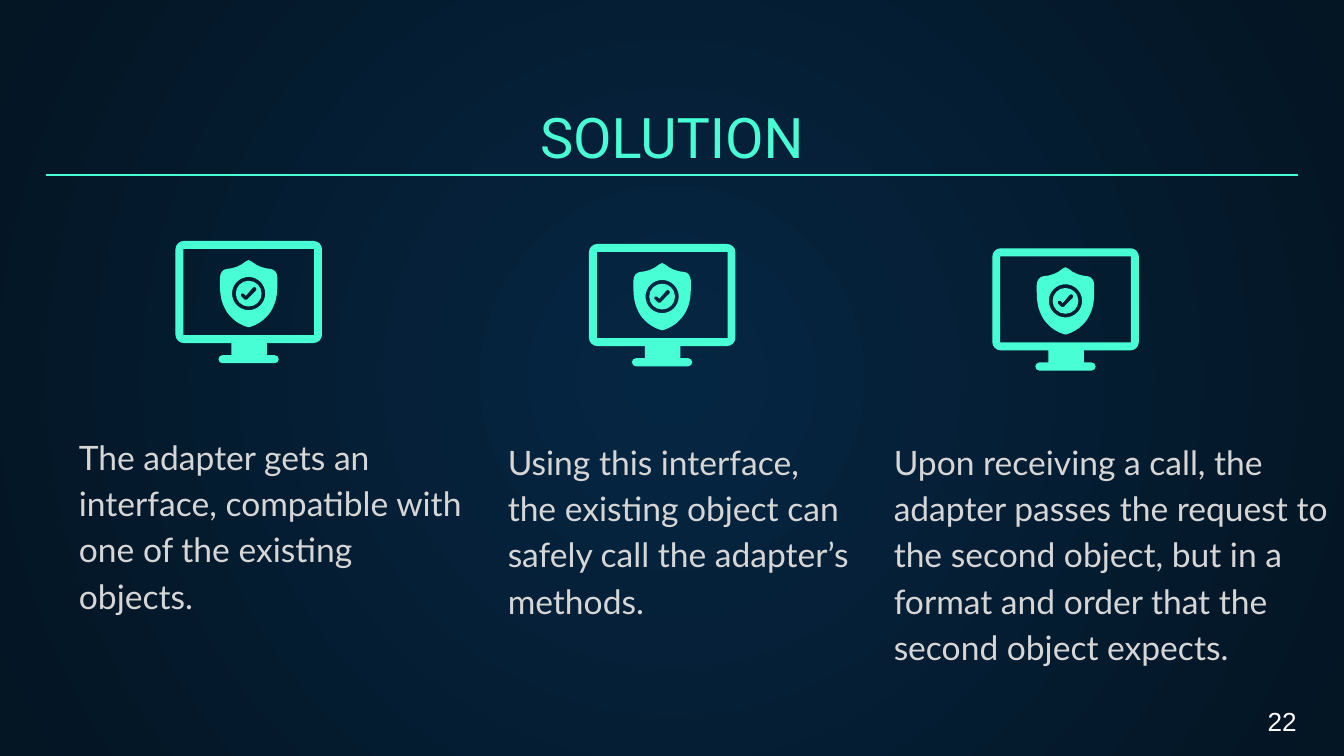
from dataclasses import dataclass
from math import cos, radians, sin

from lxml.etree import Element, SubElement as Sub
from pptx import Presentation
from pptx.dml.color import RGBColor as Rgb
from pptx.enum.shapes import MSO_CONNECTOR as Link
from pptx.enum.text import MSO_ANCHOR as Anchor, MSO_AUTO_SIZE as Fit, PP_ALIGN as Align
from pptx.oxml.ns import qn
from pptx.util import Pt


@dataclass(frozen=True)
class Theme:
    """Colours, fonts and type sizes of the slide."""
    core: Rgb = Rgb.from_string("052643")
    edge: Rgb = Rgb.from_string("041523")
    mint: Rgb = Rgb.from_string("48FFD5")
    pale: Rgb = Rgb.from_string("D6D6D6")
    white: Rgb = Rgb.from_string("FFFFFF")
    head: str = "Roboto"
    body: str = "Lato"
    plain: str = "Arial"
    big: float = 30
    mid: float = 18
    small: float = 14


THEME = Theme()
COLUMNS = [
    ("The adapter gets an interface, compatible with one of the existing objects.",
     (35.1, 223.5, 221.76, 39.6), (94, 129.1)),
    ("Using this interface, the existing object can safely call the adapter’s methods.",
     (264.8, 226.08, 198.72, 28.08), (315.5, 130.7)),
    ("Upon receiving a call, the adapter passes the request to the second object, "
     "but in a format and order that the second object expects.",
     (471.6, 226.08, 248.4, 28.08), (531.6, 133)),
]


def apply(item, **values):
    """Set each named value on the item."""
    for name, value in values.items():
        setattr(item, name, value)


def place(shape, box):
    """Move the shape to a box given in points."""
    apply(shape, **dict(zip(("left", "top", "width", "height"), map(Pt, box))))


def write(shape, text, face, size, tint, anchor=Anchor.TOP, **para):
    """Fill the shape with one formatted paragraph."""
    frame = shape.text_frame
    frame.text = text
    edges = dict.fromkeys(("margin_left", "margin_top", "margin_right", "margin_bottom"), Pt(7.2))
    apply(frame, word_wrap=True, auto_size=Fit.NONE, vertical_anchor=anchor, **edges)
    line = frame.paragraphs[0]
    apply(line, **para)
    font = line.runs[0].font
    apply(font, name=face, size=Pt(size), bold=False)
    font.color.rgb = tint
    return line


def lines(*points):
    """Return one straight step for each point."""
    return [(point,) for point in points]


def curves(points):
    """Return a start step and curve steps of three points each."""
    return [(points[0],)] + [tuple(points[i:i + 3]) for i in range(1, len(points), 3)]


def arc(x, y, r, start, turns=1):
    """Return curve steps for quarter turns from an angle in degrees."""
    points = []
    for i in range(turns):
        a, b = radians(start + 90 * i), radians(start + 90 * i + 90)
        first, last = (cos(a), sin(a)), (cos(b), sin(b))
        pull = [(p + 0.55 * q, s + 0.55 * t) for (p, s), (q, t) in ((first, last), (last, first))]
        points += [first, *pull] if i == 0 else pull
        points.append(last)
    return curves([(x + r * p, y + r * q) for p, q in points])


def screen():
    """Return the monitor outline and its opening."""
    outer = (arc(4.5, 4.5, 4.5, 180) + arc(74, 4.5, 4.5, 270) + arc(74, 50.2, 4.5, 0)
             + lines((49, 54.7), (49, 61.2)) + arc(53.2, 63.35, 2.15, -90, 2)
             + arc(25.2, 63.35, 2.15, 90, 2) + lines((30, 61.2), (30, 54.7))
             + arc(4.5, 50.2, 4.5, 90))
    return [outer, lines((4.2, 4.3), (74.3, 4.3), (74.3, 50.4), (4.2, 50.4))]


def badge():
    """Return the disc and its tick around the centre."""
    tick = [(3, -3.6), (3.4, -3.6), (3.7, -3.4), (3.9, -3.2), (4.3, -2.7), (4.3, -2),
            (3.9, -1.6), (2.3, 0), (0.7, 1.6), (-0.8, 3.2), (-1.2, 3.6), (-1.9, 3.6),
            (-2.3, 3.2), (-2.9, 2.6), (-3.5, 2), (-4.1, 1.4), (-4.5, 1), (-4.5, 0.4),
            (-4.1, 0), (-3.7, -0.4), (-3, -0.4), (-2.6, 0), (-2.3, 0.4), (-1.9, 0.8),
            (-1.5, 1.1), (-0.2, -0.3), (1, -1.8), (2.2, -3.2), (2.4, -3.5), (2.7, -3.6),
            (3, -3.6)]
    return [arc(0, 0, 6.9, 0, 4), curves(tick)]


def shield():
    """Return the shield and its round opening around the centre."""
    half = [(0, -18), (0.6, -18), (1.2, -17.6), (1.6, -17.2), (4.4, -14.8), (7.6, -13.5),
            (11.8, -13.2), (13.7, -12.9), (15.3, -11.4), (15.4, -8.4), (15.4, -4.3),
            (15.6, 1.4), (13.7, 5.9), (12.5, 8.9), (11, 11.2), (9, 13), (7, 15.1),
            (4.2, 16.8), (0.8, 17.9), (0.5, 18), (0.3, 18), (0, 18)]
    return [curves(half + [(-x, y) for x, y in half[-2::-1]]), arc(0, 0, 8.9, 0, 4)]


def bend(shape, loops):
    """Turn each run of three points into a curve."""
    route = shape._element.find(".//" + qn("a:path"))
    nodes = iter(route.findall(qn("a:lnTo")))
    for loop in loops:
        for step in loop[1:]:
            group = [next(nodes) for _ in step]
            if len(group) == 3:
                arch = Element(qn("a:cubicBezTo"))
                group[0].addprevious(arch)
                for node in group:
                    arch.append(node[0])
                    route.remove(node)


def draw(slide, loops, x, y):
    """Draw closed loops as one filled outline."""
    pen = None
    for loop in loops:
        first, *rest = [(Pt(x + a), Pt(y + b)) for step in loop for a, b in step]
        if pen is None:
            pen = slide.shapes.build_freeform(*first)
        else:
            pen.move_to(*first)
        pen.add_line_segments(rest)
    shape = pen.convert_to_shape()
    bend(shape, loops)
    shape.shadow.inherit = False
    shape.fill.solid()
    shape.fill.fore_color.rgb = THEME.mint
    shape.line.fill.background()
    return shape


def icon(slide, spot):
    """Draw a guarded monitor with its corner at the spot."""
    x, y = spot
    mid = (x + 39.2, y + 28.2)
    parts = [draw(slide, screen(), x, y), draw(slide, badge(), *mid), draw(slide, shield(), *mid)]
    slide.shapes.add_group_shape(parts)


def column(slide, holder, text, box, spot):
    """Place one text and its icon."""
    place(holder, box)
    line = write(holder, text, THEME.body, THEME.mid, THEME.pale,
                 alignment=Align.LEFT, line_spacing=1.15, space_before=Pt(6))
    props = line._p.get_or_add_pPr()
    for name in ("marL", "indent"):
        props.set(name, "0")
    Sub(props, qn("a:buNone"))
    icon(slide, spot)


def header(slide, box):
    """Place the title and the rule across its box."""
    title = slide.shapes.title
    place(title, box)
    write(title, "SOLUTION", THEME.head, THEME.big, THEME.mint,
          Anchor.BOTTOM, alignment=Align.CENTER)
    left, top, width, _ = box
    level = Pt(top + 43)
    rule = slide.shapes.add_connector(Link.STRAIGHT, Pt(left), level, Pt(left + width), level)
    rule.line.color.rgb = THEME.mint
    rule.line.width = Pt(0.75)
    Sub(rule._element.spPr, qn("a:effectLst"))


def footer(slide, box):
    """Place the page number."""
    note = slide.shapes.add_textbox(*map(Pt, box))
    write(note, "22", THEME.plain, THEME.small, THEME.white).alignment = Align.LEFT
    apply(note.text_frame, margin_top=Pt(3.6), margin_bottom=Pt(3.6))


def backdrop(slide):
    """Give the slide a round gradient."""
    fill = slide.background.fill
    fill.gradient()
    for stop, tint in zip(fill.gradient_stops, (THEME.core, THEME.edge)):
        stop.color.rgb = tint
    grad = slide._element.find(".//" + qn("a:gradFill"))
    grad.remove(grad.find(qn("a:lin")))
    ring = Sub(grad, qn("a:path"), {"path": "circle"})
    Sub(ring, qn("a:fillToRect"), dict.fromkeys("ltrb", "50000"))


def main():
    """Build and save the slide."""
    deck = Presentation()
    apply(deck, slide_width=Pt(720), slide_height=Pt(405))
    slide = deck.slides.add_slide(deck.slide_layouts[4])
    backdrop(slide)
    header(slide, (24.5, 50.75, 671, 47.52))
    *holders, spare = list(slide.placeholders)[1:]
    spare._element.getparent().remove(spare._element)
    for holder, parts in zip(holders, COLUMNS):
        column(slide, holder, *parts)
    footer(slide, (672, 374.4, 48, 24.48))
    deck.save("out.pptx")


if __name__ == "__main__":
    main()
